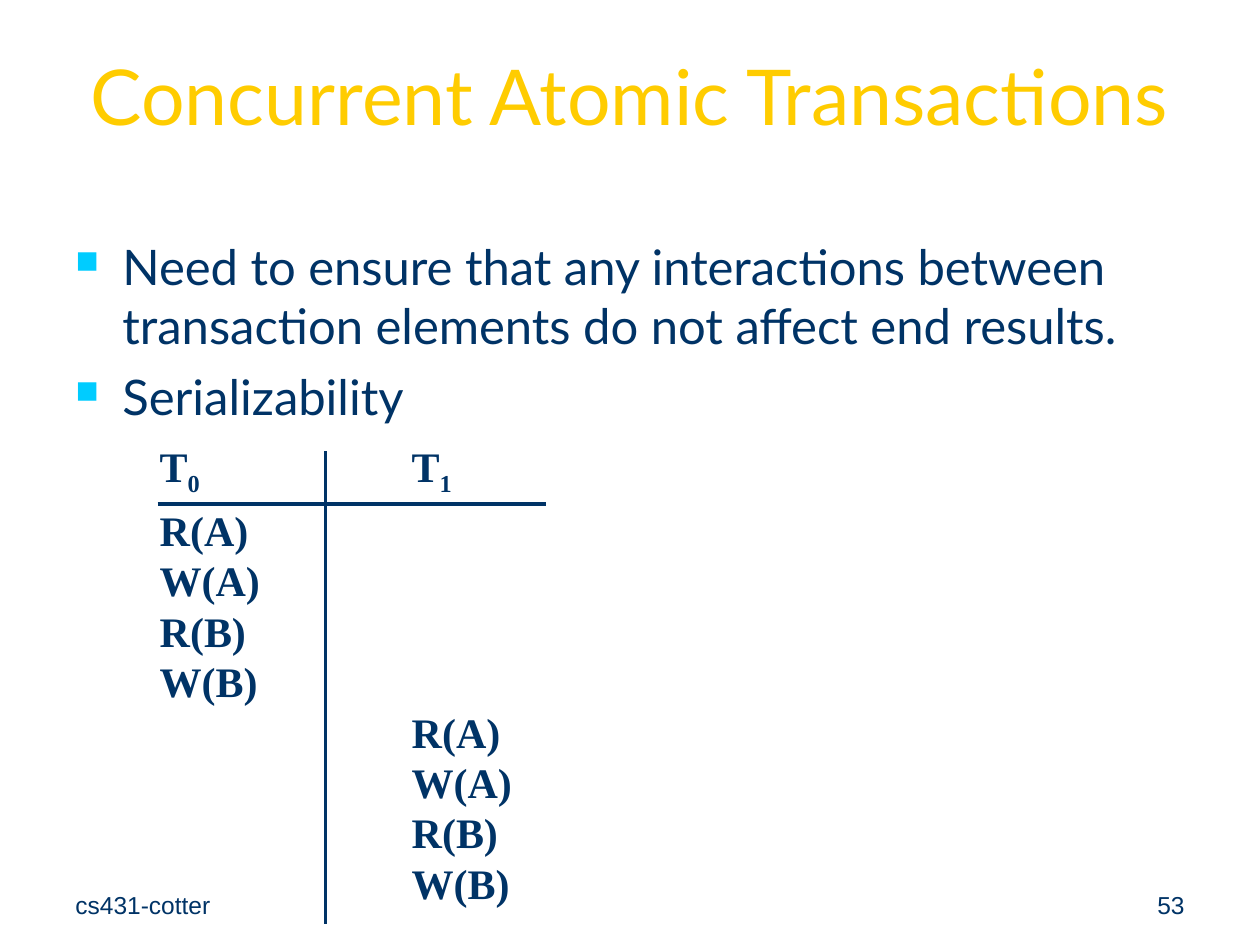
from dataclasses import dataclass

from lxml.etree import SubElement
from pptx import Presentation
from pptx.dml.color import RGBColor
from pptx.enum.shapes import MSO_CONNECTOR
from pptx.enum.text import MSO_ANCHOR, PP_ALIGN
from pptx.oxml.ns import qn
from pptx.util import Cm, Pt

COLORS = {"text": "003366", "title": "FFCC00", "bullet": "00CCFF"}
TAB_STEP = Cm(2.54)


@dataclass
class TextSpec:
    left: float
    top: float
    width: float
    height: float
    lines: list[str]
    size: int
    font: str
    color: str = "text"
    bold: bool = False
    align: PP_ALIGN = PP_ALIGN.LEFT
    anchor: MSO_ANCHOR = MSO_ANCHOR.TOP


@dataclass
class Rule:
    x1: float
    y1: float
    x2: float
    y2: float


def add_text(page, spec: TextSpec):
    box = page.shapes.add_textbox(
        Cm(spec.left), Cm(spec.top), Cm(spec.width), Cm(spec.height))
    frame = box.text_frame
    frame.word_wrap = True
    frame.vertical_anchor = spec.anchor
    frame.text = "\n".join(spec.lines)
    for paragraph in frame.paragraphs:
        paragraph.alignment = spec.align
        for span in paragraph.runs:
            style_span(span, spec)
    return frame


def style_span(span, spec: TextSpec) -> None:
    span.font.name = spec.font
    span.font.size = Pt(spec.size)
    span.font.bold = spec.bold
    span.font.color.rgb = RGBColor.from_string(COLORS[spec.color])


def add_bullet(paragraph) -> None:
    properties = paragraph._p.get_or_add_pPr()
    properties.set("marL", str(Cm(0.95)))
    properties.set("indent", str(-Cm(0.95)))
    color = SubElement(properties, qn("a:buClr"))
    SubElement(color, qn("a:srgbClr"), val=COLORS["bullet"])
    SubElement(properties, qn("a:buSzPct"), val="65000")
    SubElement(properties, qn("a:buChar"), char="■")


def add_tabs(paragraph) -> None:
    tabs = SubElement(paragraph._p.get_or_add_pPr(), qn("a:tabLst"))
    for step in (1, 2):
        SubElement(tabs, qn("a:tab"), pos=str(step * TAB_STEP), algn="l")


def add_rule(page, rule: Rule) -> None:
    line = page.shapes.add_connector(
        MSO_CONNECTOR.STRAIGHT,
        Cm(rule.x1), Cm(rule.y1), Cm(rule.x2), Cm(rule.y2))
    line.line.color.rgb = RGBColor.from_string(COLORS["text"])
    line.line.width = Pt(2)
    SubElement(line._element.spPr, qn("a:effectLst"))


def add_schedule(page) -> None:
    operations = ["R(A)", "W(A)", "R(B)", "W(B)"]
    first = ["R(A)\t\t"] + operations[1:]
    second = ["\t\t" + operation for operation in operations]
    spec = TextSpec(2.97, 8.89, 8.26, 9.55, ["T"] + first + second,
                    24, "Times New Roman", bold=True)
    frame = add_text(page, spec)
    header = frame.paragraphs[0]
    # Transaction numbers are subscripts
    for text, is_subscript in (("0\t\t", True), ("T", False), ("1", True)):
        span = header.add_run()
        span.text = text
        style_span(span, spec)
        if is_subscript:
            span.font._element.set("baseline", "-25000")
    for paragraph in frame.paragraphs:
        add_tabs(paragraph)
        paragraph.line_spacing = Pt(28.8)
    header.space_after = Pt(4)


def main() -> None:
    deck = Presentation()
    deck.slide_width, deck.slide_height = Cm(25.4), Cm(19.05)
    page = deck.slides.add_slide(deck.slide_layouts[6])

    # Footer
    add_text(page, TextSpec(1.27, 17.35, 5.92, 1.32, ["cs431-cotter"],
                            14, "Arial", anchor=MSO_ANCHOR.BOTTOM))
    add_text(page, TextSpec(18.21, 17.35, 5.92, 1.32, ["53"], 14, "Arial",
                            align=PP_ALIGN.RIGHT, anchor=MSO_ANCHOR.BOTTOM))

    # Schedule of the two transactions
    add_schedule(page)

    # Title
    add_text(page, TextSpec(1.27, 0, 22.86, 3.81,
                            ["Concurrent Atomic Transactions"], 44, "Lato",
                            "title", align=PP_ALIGN.CENTER,
                            anchor=MSO_ANCHOR.MIDDLE))

    # Bulleted points
    points = add_text(page, TextSpec(1.27, 4.65, 22.86, 11.43, [
        "Need to ensure that any interactions between transaction elements "
        "do not affect end results.",
        "Serializability"], 28, "Lato"))
    for paragraph in points.paragraphs:
        add_bullet(paragraph)
    points.paragraphs[1].space_before = Pt(7)

    # Schedule rules
    for rule in (Rule(6.56, 9.1, 6.56, 18.63), Rule(3.18, 10.16, 11, 10.16)):
        add_rule(page, rule)

    deck.save("out.pptx")


if __name__ == "__main__":
    main()
